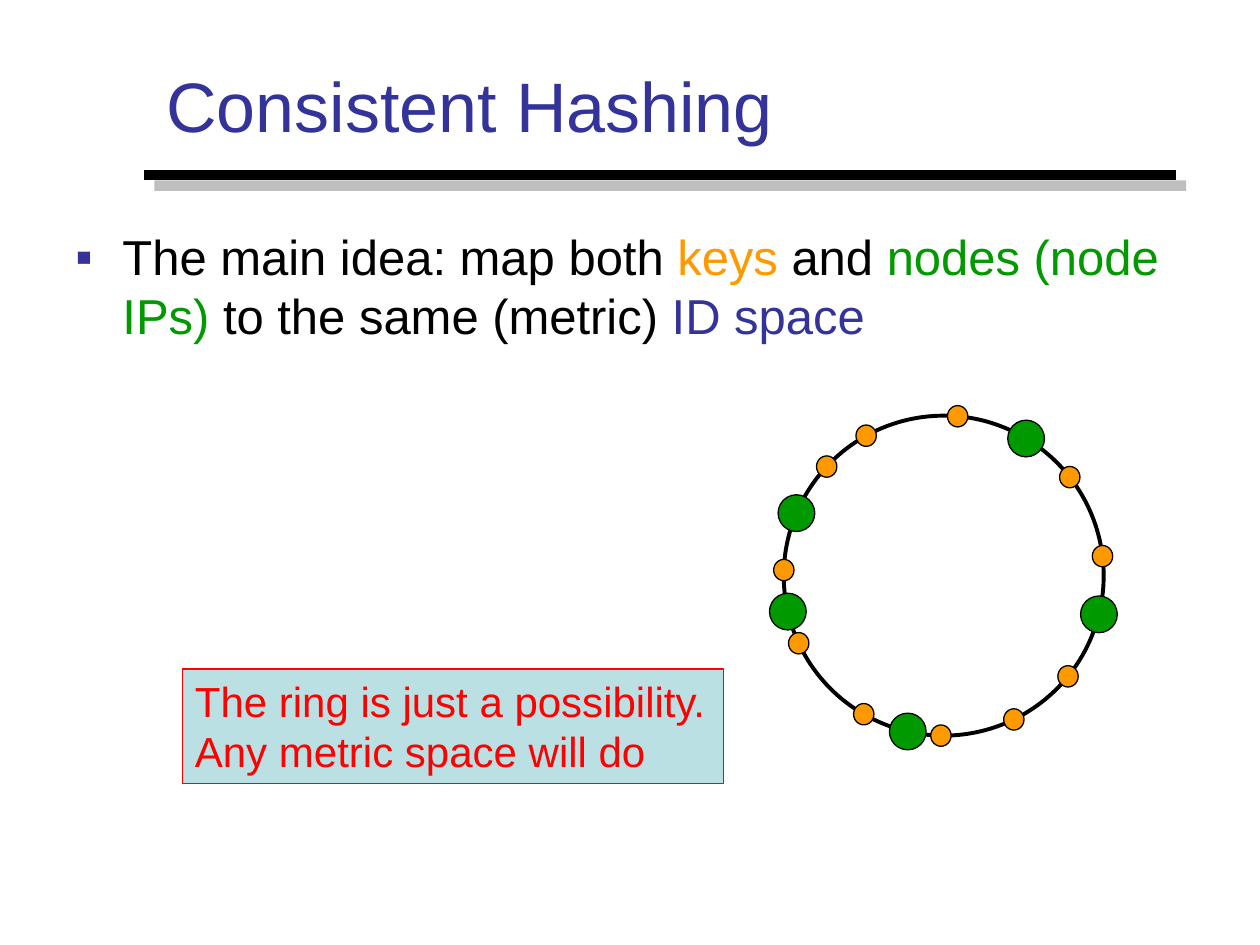
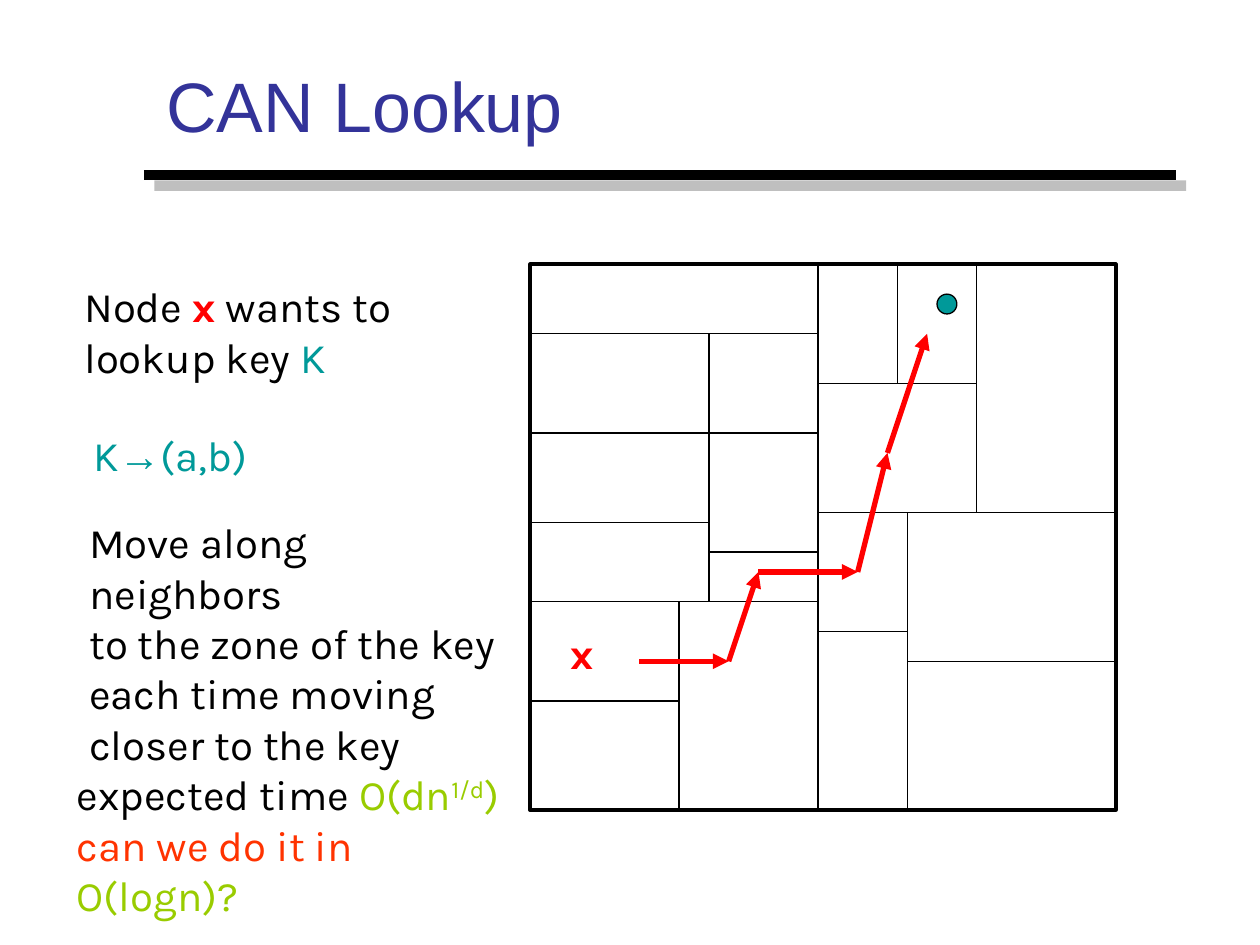
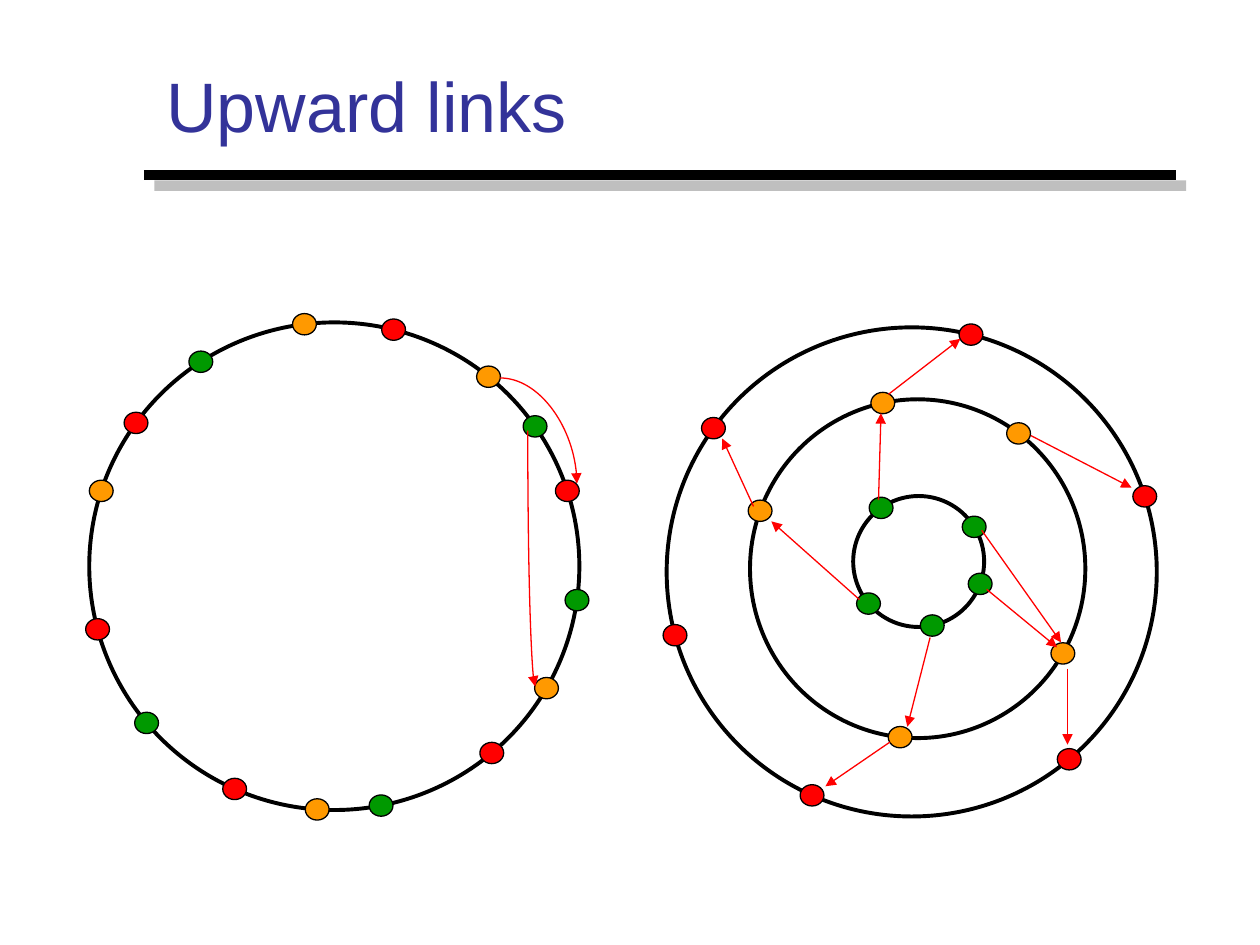
from math import cos, radians, sin

from lxml import etree
from pptx import Presentation
from pptx.dml.color import RGBColor
from pptx.enum.shapes import MSO_CONNECTOR, MSO_SHAPE
from pptx.enum.text import MSO_ANCHOR, MSO_AUTO_SIZE, PP_ALIGN
from pptx.oxml.ns import qn
from pptx.util import Cm, Pt

STRAIGHT, CURVE = MSO_CONNECTOR.STRAIGHT, MSO_CONNECTOR.CURVE
OVAL, RECTANGLE = MSO_SHAPE.OVAL, MSO_SHAPE.RECTANGLE
LEFT, TOP, MIDDLE = PP_ALIGN.LEFT, MSO_ANCHOR.TOP, MSO_ANCHOR.MIDDLE
GROW = MSO_AUTO_SIZE.SHAPE_TO_FIT_TEXT
TITLE_ONLY = 5

COLORS = {
    "black": "000000", "indigo": "333399", "orange": "FF9900", "green": "009900",
    "red": "FF0000", "teal": "009999", "lime": "99CC00", "vermilion": "FF3300",
    "pale": "BBE0E3", "shade": "808080",
}
HEADING, HAND, SYMBOL = "Arial", "Karla", "Times New Roman"
KEY_SIZE, NODE_SIZE, PEER_SIZE = (0.41, 0.43), (0.74, 0.74), (0.48, 0.43)
RED_ANGLES = (14, 72, 140, 204, 255, 306)
UNIT = 0.2


def rgb(color):
    """Return the named colour."""
    return RGBColor.from_string(COLORS[color])


def format_run(run, size, font, color, bold=False, raised=False):
    """Apply font, size, colour and emphasis to a run."""
    run.font.size, run.font.name, run.font.bold = Pt(size), font, bold
    run.font.color.rgb = rgb(color)
    if raised:
        run.font._element.set("baseline", "30000")


def write(frame, lines, size, font, wrap=False):
    """Fill a frame with lines made of (text, colour, options) pieces."""
    frame.word_wrap, frame.auto_size, frame.vertical_anchor = wrap, GROW, TOP
    for number, pieces in enumerate(lines):
        paragraph = frame.add_paragraph() if number else frame.paragraphs[0]
        paragraph.alignment = LEFT
        for text, color, *options in pieces:
            run = paragraph.add_run()
            run.text = text
            style = {"font": font, **(options[0] if options else {})}
            format_run(run, size, color=color, **style)


def add_text(shapes, box, lines, size=24, font=HAND, wrap=False):
    """Add a text box and return its frame."""
    frame = shapes.add_textbox(*map(Cm, box)).text_frame
    write(frame, lines, size, font, wrap)
    return frame


def add_outlined(shapes, kind, box, fill=None, line="black", width=0.75):
    """Add a preset shape with an outline and an optional fill."""
    shape = shapes.add_shape(kind, *map(Cm, box))
    shape.shadow.inherit = False
    if fill:
        shape.fill.solid()
        shape.fill.fore_color.rgb = rgb(fill)
    else:
        shape.fill.background()
    shape.line.color.rgb, shape.line.width = rgb(line), Pt(width)
    return shape


def add_line(shapes, start, end, color="black", width=0.75, arrow=False, kind=STRAIGHT):
    """Add a connector without shadow and return its properties element."""
    connector = shapes.add_connector(kind, *map(Cm, (*start, *end)))
    connector.line.color.rgb, connector.line.width = rgb(color), Pt(width)
    properties = connector._element.spPr
    if arrow:
        etree.SubElement(properties.find(qn("a:ln")), qn("a:tailEnd"), type="triangle")
    etree.SubElement(properties, qn("a:effectLst"))
    return properties


def add_curve(shapes, start, end, falls_first=False):
    """Add a red quarter-turn arrow leaving sideways or downwards."""
    if falls_first:
        (x1, y1), (x2, y2) = start, end
        middle_x, middle_y = (x1 + x2) / 2, (y1 + y2) / 2
        half_run, half_fall = (x2 - x1) / 2, (y2 - y1) / 2
        start = middle_x + half_fall, middle_y - half_run
        end = middle_x - half_fall, middle_y + half_run
    properties = add_line(shapes, start, end, "red", arrow=True, kind=CURVE)
    properties.find(qn("a:prstGeom")).set("prst", "curvedConnector2")
    if falls_first:
        properties.find(qn("a:xfrm")).set("rot", "16200000")


def add_dot(shapes, center, size, color):
    """Add a filled dot around its centre."""
    (x, y), (width, height) = center, size
    add_outlined(shapes, OVAL, (x - width / 2, y - height / 2, width, height), color)


def add_ring(shapes, box, members):
    """Draw a ring and its dots, at degrees clockwise from the top."""
    left, top, width, height = box
    add_outlined(shapes, OVAL, box, width=2.25)
    for color, size, angles in members:
        for angle in map(radians, angles):
            center = (left + width / 2 * (1 + sin(angle)),
                      top + height / 2 * (1 - cos(angle)))
            add_dot(shapes, center, size, color)


def add_titled_slide(deck, title):
    """Add a slide with the shared title style and shadowed rule."""
    slide = deck.slides.add_slide(deck.slide_layouts[TITLE_ONLY])
    rule = add_line(slide.shapes, (2.9, 3.53), (23.7, 3.53), width=6)
    shadow = etree.SubElement(rule.find(qn("a:effectLst")), qn("a:outerShdw"),
                              dist=str(Pt(8.5)), dir="2700000", algn="ctr", rotWithShape="0")
    shade = etree.SubElement(shadow, qn("a:srgbClr"), val=COLORS["shade"])
    etree.SubElement(shade, qn("a:alpha"), val="50000")
    heading = slide.shapes.title
    heading.left, heading.top, heading.width, heading.height = map(Cm, (3.1, 0.91, 21.41, 2.41))
    frame = heading.text_frame
    frame.text, frame.vertical_anchor = title, MIDDLE
    frame.paragraphs[0].alignment = LEFT
    format_run(frame.paragraphs[0].runs[0], 40, HEADING, "indigo")
    return slide


def add_main_idea(shapes, box):
    """Write the bulleted main idea."""
    pieces = [("The main idea: map both ", "black"), ("keys", "orange"), (" and ", "black"),
              ("nodes (node IPs)", "green"), (" to the same (metric) ", "black"),
              ("ID space", "indigo")]
    idea = add_text(shapes, box, [pieces], 28, HEADING, wrap=True).paragraphs[0]
    idea.space_before = Pt(3)
    properties = idea._element.get_or_add_pPr()
    properties.set("marL", str(Cm(0.95)))
    properties.set("indent", str(-Cm(0.95)))
    bullet_color = etree.SubElement(properties, qn("a:buClr"))
    etree.SubElement(bullet_color, qn("a:srgbClr"), val=COLORS["indigo"])
    etree.SubElement(properties, qn("a:buFont"), typeface=HEADING)
    etree.SubElement(properties, qn("a:buChar"), char="▪")


def add_remark(shapes, box):
    """Write the framed remark about the ring."""
    remark = add_outlined(shapes, RECTANGLE, box, "pale", "red")
    lines = ["The ring is just a possibility.", "Any metric space will do"]
    write(remark.text_frame, [[(line, "red")] for line in lines], 24, HEADING)


def build_hashing(deck):
    """Build the consistent hashing slide."""
    shapes = add_titled_slide(deck, "Consistent Hashing").shapes
    add_main_idea(shapes, (1.27, 4.45, 22.86, 12.57))
    add_ring(shapes, (15.8, 8.38, 6.45, 6.45), [
        ("orange", KEY_SIZE, (5, 52, 83, 129, 154, 181, 210, 245, 272, 313, 331)),
        ("green", NODE_SIZE, (31, 104, 193, 257, 293)),
    ])
    add_remark(shapes, (3.68, 13.49, 10.9, 2.31))


def add_zones(shapes, box):
    """Draw the zones on a grid of units, with the route to the key."""
    left, top, width, height = box

    def at(column, row):
        """Return the position of a grid point."""
        return left + column * UNIT, top + row * UNIT

    add_outlined(shapes, RECTANGLE, box, width=2.25)
    upright = [(29, 0, 55), (45, 0, 25), (37, 0, 12), (38, 25, 55), (15, 34, 55), (18, 7, 34)]
    level = [(7, 0, 29), (25, 29, 59), (12, 29, 45), (40, 38, 59), (34, 0, 29),
             (44, 0, 15), (37, 29, 38), (26, 0, 18), (17, 0, 29), (29, 18, 29)]
    for column, first, last in upright:
        add_line(shapes, at(column, first), at(column, last))
    for row, first, last in level:
        add_line(shapes, at(first, row), at(last, row))
    add_text(shapes, (*at(2.8, 36), 1.02, 1.27), [[("x", "red", {"bold": True})]])
    add_dot(shapes, at(42, 4), (2 * UNIT, 2 * UNIT), "teal")
    route = [(11, 40), (20, 40), (23, 31), (33, 31), (36, 19), (40, 7)]
    for start, end in zip(route, route[1:]):
        add_line(shapes, at(*start), at(*end), "red", 3, arrow=True)


def add_lookup_steps(shapes, box):
    """Write the lookup steps down the given column."""
    left, top, width, height = box
    moves = ["Move along neighbors", "to the zone of the key", "each time moving",
             "closer to the key"]
    steps = [
        (0.15, 0, 6.96, 2.29, False, [
            [("Node ", "black"), ("x", "red", {"bold": True}), (" wants to", "black")],
            [("lookup key ", "black"), ("K", "teal")]]),
        (0.33, 2.99, 3.68, 1.27, False, [
            [("K", "teal"), ("→", "teal", {"font": SYMBOL}), ("(a,b)", "teal")]]),
        (0.25, 4.75, 8.74, 4.32, True, [[(move, "black")] for move in moves]),
        (0, height - 2.29, width, 2.29, False, [
            [("expected time ", "black"), ("O(dn", "lime"),
             ("1/d", "lime", {"raised": True}), (")", "lime")],
            [("can we do it in", "vermilion"), (" O(logn)?", "lime")]]),
    ]
    for x, y, step_width, step_height, wrap, lines in steps:
        add_text(shapes, (left + x, top + y, step_width, step_height), lines, wrap=wrap)


def build_lookup(deck):
    """Build the lookup slide."""
    shapes = add_titled_slide(deck, "CAN Lookup").shapes
    add_zones(shapes, (10.69, 5.33, 59 * UNIT, 55 * UNIT))
    add_lookup_steps(shapes, (1.3, 5.54, 9.52, 12.12))


def add_flat_ring(shapes, box):
    """Draw the single ring with two curved upward links."""
    left, top, width, height = box
    add_ring(shapes.add_group_shape().shapes, box, [
        ("orange", PEER_SIZE, (39, 120, 184, 288, 353)),
        ("red", PEER_SIZE, RED_ANGLES),
        ("green", PEER_SIZE, (55, 98, 169, 230, 327)),
    ])
    add_curve(shapes, (left + 8.28, top + 1.12), (left + 9.83, top + 3.25))
    add_curve(shapes, (left + 8.84, top + 2.18), (left + 8.99, top + 7.34), falls_first=True)


def add_level_rings(shapes, box):
    """Draw one ring per level and the links between them."""
    left, top, width, height = box
    levels = [
        ((3.76, 3.4, 2.64, 2.64), "green", (58, 110, 168, 230, 325)),
        ((1.68, 1.45, 6.76, 6.83), "orange", (37, 120, 186, 290, 348)),
        ((0, 0, width, height), "red", RED_ANGLES),
    ]
    for (x, y, ring_width, ring_height), color, angles in levels:
        add_ring(shapes, (left + x, top + y, ring_width, ring_height),
                 [(color, PEER_SIZE, angles)])
    links = [
        (4.47, 1.35, 5.92, 0.23), (7.34, 2.18, 9.37, 3.23), (8.08, 6.88, 8.08, 8.41),
        (4.5, 8.36, 3.2, 9.25), (1.75, 3.61, 1.12, 2.24), (4.27, 3.48, 4.32, 1.73),
        (6.35, 4.09, 7.95, 6.35), (6.45, 5.28, 7.87, 6.45), (5.31, 6.25, 4.85, 8.05),
        (3.89, 5.49, 2.11, 3.91),
    ]
    for x1, y1, x2, y2 in links:
        add_line(shapes, (left + x1, top + y1), (left + x2, top + y2), "red", arrow=True)


def build_links(deck):
    """Build the upward links slide."""
    shapes = add_titled_slide(deck, "Upward links").shapes
    add_level_rings(shapes, (13.44, 6.6, 9.88, 9.86))
    add_flat_ring(shapes, (1.8, 6.5, 9.88, 9.83))


def main():
    """Build and save the deck."""
    deck = Presentation()
    deck.slide_width, deck.slide_height = Cm(25.4), Cm(19.05)
    build_hashing(deck)
    build_lookup(deck)
    build_links(deck)
    deck.save("out.pptx")


if __name__ == "__main__":
    main()
